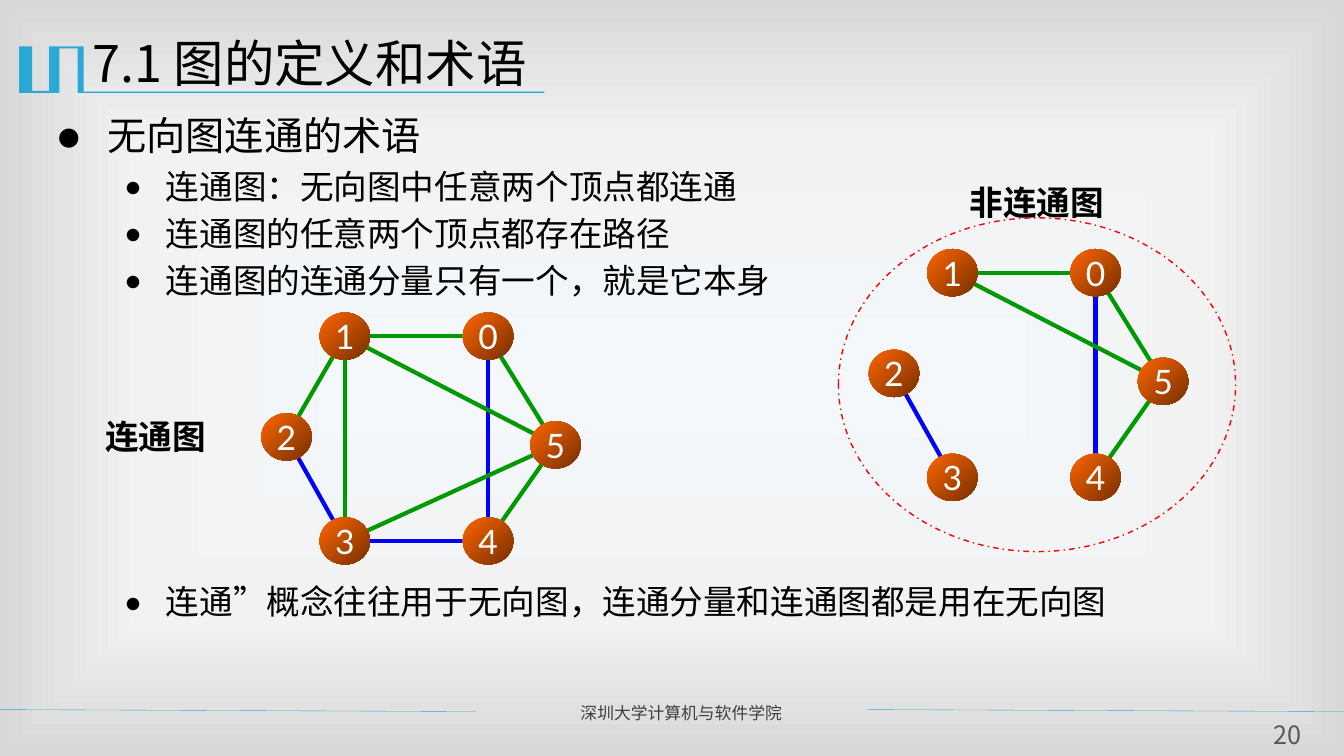
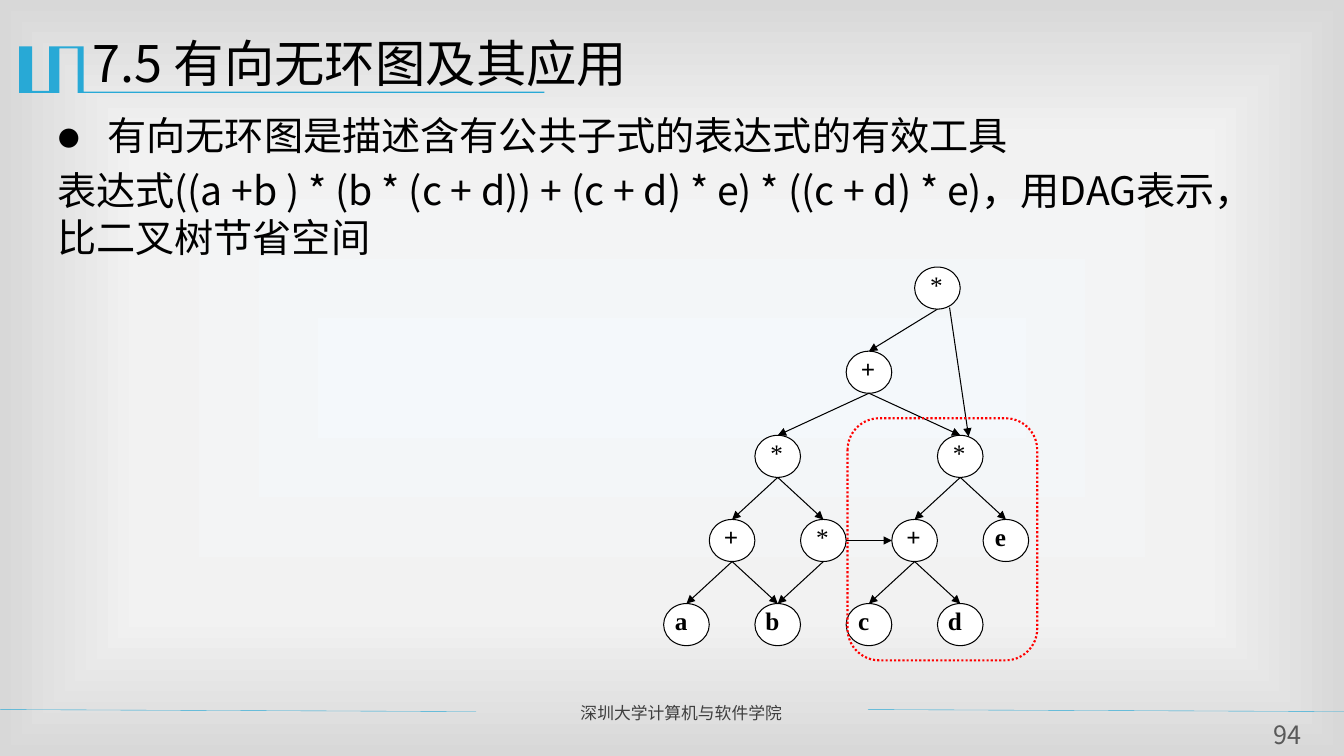
from lxml import etree
from pptx import Presentation
from pptx.dml.color import RGBColor
from pptx.enum.dml import MSO_LINE
from pptx.enum.shapes import MSO_CONNECTOR, MSO_SHAPE
from pptx.enum.text import MSO_ANCHOR, PP_ALIGN
from pptx.oxml import parse_xml
from pptx.oxml.ns import nsdecls, qn
from pptx.util import Cm, Pt

CJK = "Noto Sans CJK SC"
THEME = {
    "accent": RGBColor.from_string("28A9D6"),
    "green": RGBColor.from_string("009900"),
    "blue": RGBColor.from_string("0000FF"),
    "red": RGBColor.from_string("FF0000"),
    "black": RGBColor.from_string("000000"),
    "white": RGBColor.from_string("FFFFFF"),
    "vertex": [RGBColor.from_string("FF6600"), RGBColor.from_string("762F00")],
    "backdrop": [(0, "F4F8FB"), (63, "F2F2F2"), (100, "D8D8D8")],
    # font, size, bold, colour
    "text": {
        "title": (CJK, 36, False, "000000"),
        "topic": (CJK, 28, False, "000000"),
        "plain": (CJK, 28, False, "000000"),
        "point": (CJK, 24, False, "000000"),
        "footer": (CJK, 12, False, "3F3F3F"),
        "page": (CJK, 18, False, "595959"),
        "caption": ("Lato", 24, True, "000000"),
        "vertex": ("Lato", 24, False, "FFFFFF"),
        "operand": ("Times New Roman", 18, True, "000000"),
        "product": ("Times New Roman", 18, False, "000000"),
    },
    # left margin, hanging indent, mark
    "bullet": {"topic": (1.27, -1.27, "●"), "point": (2.74, -1.07, "•")},
}


def write(shape, lines, align=PP_ALIGN.LEFT, **frame_format):
    """Fill a shape with (style, text, points before) lines."""
    frame = shape.text_frame
    for name, value in {"word_wrap": True, **frame_format}.items():
        setattr(frame, name, value)
    for index, (style, text, before) in enumerate(lines):
        font_name, size, bold, colour = THEME["text"][style]
        paragraph = frame.add_paragraph() if index else frame.paragraphs[0]
        paragraph_format = {"alignment": align, "line_spacing": Pt(1.2 * size)}
        if index:
            paragraph_format["space_before"] = Pt(before)
        for name, value in paragraph_format.items():
            setattr(paragraph, name, value)
        properties = paragraph._p.get_or_add_pPr()
        properties.set("hangingPunct", "1")
        if style in THEME["bullet"]:
            margin, indent, mark = THEME["bullet"][style]
            properties.set("marL", str(Cm(margin)))
            properties.set("indent", str(Cm(indent)))
            etree.SubElement(properties, qn("a:buFont"), typeface="Lato")
            etree.SubElement(properties, qn("a:buChar"), char=mark)
        run = paragraph.add_run()
        run.text = text
        for name, value in {"name": font_name, "size": Pt(size), "bold": bold}.items():
            setattr(run.font, name, value)
        run.font.color.rgb = RGBColor.from_string(colour)
        etree.SubElement(run._r.get_or_add_rPr(), qn("a:ea"), typeface=CJK)


def link(slide, start, end, colour, width, arrow=False):
    """Draw a straight line between two points given in centimetres."""
    line = slide.shapes.add_connector(
        MSO_CONNECTOR.STRAIGHT, *(Cm(value) for value in (*start, *end)))
    line.line.color.rgb = colour
    line.line.width = Pt(width)
    if arrow:
        etree.SubElement(line.line._get_or_add_ln(), qn("a:tailEnd"), type="triangle")
    etree.SubElement(line._element.spPr, qn("a:effectLst"))


prs = Presentation()
prs.slide_width, prs.slide_height = Cm(33.87), Cm(19.05)

pages = [
    ("7.1 图的定义和术语", "20", [
        ("topic", "无向图连通的术语", 0),
        ("point", "连通图：无向图中任意两个顶点都连通", 4.8),
        ("point", "连通图的任意两个顶点都存在路径", 4.8),
        ("point", "连通图的连通分量只有一个，就是它本身", 4.8),
        ("point", "连通”概念往往用于无向图，连通分量和连通图都是用在无向图", 201),
    ]),
    ("7.5 有向无环图及其应用", "94", [
        ("topic", "有向无环图是描述含有公共子式的表达式的有效工具", 0),
        ("plain", "表达式((a +b ) * (b * (c + d)) + (c + d) * e) * ((c + d) * e)，"
                  "用DAG表示，比二叉树节省空间", 5.6),
    ]),
]

# Title ornament with its underline, in hundredths of a centimetre
ornament = [(208, 117), (211, 117), (211, 231), (1372, 231), (1372, 234),
            (196, 234), (196, 122), (150, 122), (150, 234), (48, 234),
            (48, 117), (81, 117), (81, 229), (124, 229), (124, 117)]

stops = "".join(f'<a:gs pos="{place * 1000}"><a:srgbClr val="{colour}"/></a:gs>'
                for place, colour in THEME["backdrop"])
backdrop = (f'<a:gradFill {nsdecls("a")} rotWithShape="1"><a:gsLst>{stops}</a:gsLst>'
            '<a:path path="rect"><a:fillToRect l="50000" t="50000" r="50000" b="50000"/>'
            '</a:path></a:gradFill>')

slides = []
for title, number, body in pages:
    slide = prs.slides.add_slide(prs.slide_layouts[6])
    slides.append(slide)
    slide.background.fill.solid()
    background = slide.element.find(f".//{qn('p:bgPr')}")
    background.replace(background[0], parse_xml(backdrop))

    builder = slide.shapes.build_freeform(*ornament[0], scale=Cm(0.01))
    builder.add_line_segments(ornament[1:], close=True)
    mark = builder.convert_to_shape()
    mark.shadow.inherit = False
    mark.fill.solid()
    mark.fill.fore_color.rgb = THEME["accent"]
    mark.line.fill.background()

    for left in (0, 21.87):
        link(slide, (left, 17.88), (left + 12, 17.93), THEME["accent"], 0.25)

    no_inset = dict.fromkeys(
        ("margin_left", "margin_top", "margin_right", "margin_bottom"), 0)
    for box, lines, layout in (
        ((1.19, 2.69, 30.81, 14.3), body, {}),
        ((2.08, 0.68, 30.48, 2.21), [("title", title, 0)], {}),
        ((14.38, 17.58, 7.24, 0.76), [("footer", "深圳大学计算机与软件学院", 0)], {}),
        ((31.7, 18.13, 1.5, 0.79), [("page", number, 0)],
         {"align": PP_ALIGN.CENTER, **no_inset}),
    ):
        write(slide.shapes.add_textbox(*map(Cm, box)), lines, **layout)

terms_slide, dag_slide = slides

# Undirected graphs: vertex centres relative to vertex 1
vertex_offsets = {"1": (0, 0), "3": (0, 5.16), "2": (-1.47, 2.54),
                  "5": (5.31, 2.74), "4": (3.61, 5.16), "0": (3.61, 0)}
vertex_width, vertex_height = 1.27, 1.19
graphs = [
    ("非连通图", (22.1, 4.45, 8.05, 1.27), (24, 6.87),
     {"blue": "04 23", "green": "10 05 15 45"}),
    ("连通图", (1.32, 10.36, 5.21, 1.27), (8.69, 8.47),
     {"blue": "04 23 34", "green": "10 05 12 13 15 35 45"}),
]
for caption, caption_box, (origin_x, origin_y), edges in graphs:
    centres = {name: (origin_x + dx, origin_y + dy)
               for name, (dx, dy) in vertex_offsets.items()}
    for colour, pairs in edges.items():
        for first, second in pairs.split():
            link(terms_slide, centres[first], centres[second], THEME[colour], 3)
    for name, (x, y) in centres.items():
        vertex = terms_slide.shapes.add_shape(
            MSO_SHAPE.OVAL, Cm(x - vertex_width / 2), Cm(y - vertex_height / 2),
            Cm(vertex_width), Cm(vertex_height))
        vertex.shadow.inherit = False
        vertex.fill.gradient()
        vertex.fill.gradient_angle = 315
        for stop, colour in zip(vertex.fill.gradient_stops, THEME["vertex"]):
            stop.color.rgb = colour
        vertex.line.fill.background()
        write(vertex, [("vertex", name, 0)], PP_ALIGN.CENTER, **no_inset,
              word_wrap=False, vertical_anchor=MSO_ANCHOR.MIDDLE)
    write(terms_slide.shapes.add_textbox(*map(Cm, caption_box)),
          [("caption", caption, 0)], PP_ALIGN.CENTER)

# Expression DAG: label, column and row of each node
dag_nodes = {
    "root": ("*", 5.5, 0), "sum": ("+", 4, 1),
    "left product": ("*", 2, 2), "shared product": ("*", 6, 2),
    "a+b": ("+", 1, 3), "b product": ("*", 3, 3), "c+d": ("+", 5, 3),
    "e": ("e", 7, 3), "a": ("a", 0, 4), "b": ("b", 2, 4),
    "c": ("c", 4, 4), "d": ("d", 6, 4),
}
dag_children = {
    "root": ["sum"], "sum": ["left product", "shared product"],
    "left product": ["a+b", "b product"], "shared product": ["c+d", "e"],
    "a+b": ["a", "b"], "b product": ["b"], "c+d": ["c", "d"],
}
node_width, node_height = 1.15, 1.06
dag_centres = {name: (17.3 + 1.15 * column, 7.26 + 2.12 * row)
               for name, (_, column, row) in dag_nodes.items()}

for name, (label, _, _) in dag_nodes.items():
    x, y = dag_centres[name]
    node = dag_slide.shapes.add_shape(
        MSO_SHAPE.OVAL, Cm(x - node_width / 2), Cm(y - node_height / 2),
        Cm(node_width), Cm(node_height))
    node.shadow.inherit = False
    node.fill.solid()
    node.fill.fore_color.rgb = THEME["white"]
    node.line.color.rgb = THEME["black"]
    node.line.width = Pt(0.75)
    insets = {**no_inset, "margin_bottom": Cm(0.2),
              "margin_right": Cm(0.27 if label.isalpha() else 0.05)}
    write(node, [("product" if label == "*" else "operand", label, 0)],
          PP_ALIGN.CENTER, **insets, word_wrap=False,
          vertical_anchor=MSO_ANCHOR.MIDDLE)

arrows = []
for parent, children in dag_children.items():
    x, y = dag_centres[parent]
    for child in children:
        child_x, child_y = dag_centres[child]
        arrows.append(((x, y + node_height / 2), (child_x, child_y - node_height / 2)))
(from_x, row_y), (to_x, _) = dag_centres["b product"], dag_centres["c+d"]
arrows.append(((from_x + node_width / 2, row_y), (to_x - node_width / 2, row_y)))
arrows.append(((23.93, 7.75), (24.41, 11)))
for start, end in arrows:
    link(dag_slide, start, end, THEME["black"], 0.75, arrow=True)

# Red dashed outlines: the disconnected graph and the shared subexpression
for slide, outline_kind, box, width, dash in (
    (terms_slide, MSO_SHAPE.OVAL, (21.13, 5.49, 10.01, 8.41), 1, MSO_LINE.DASH_DOT),
    (dag_slide, MSO_SHAPE.ROUNDED_RECTANGLE, (21.36, 10.54, 4.78, 6.1), 1.5,
     MSO_LINE.ROUND_DOT),
):
    outline = slide.shapes.add_shape(outline_kind, *map(Cm, box))
    outline.shadow.inherit = False
    outline.fill.background()
    outline.line.color.rgb = THEME["red"]
    for name, value in {"width": Pt(width), "dash_style": dash}.items():
        setattr(outline.line, name, value)

prs.save("out.pptx")
